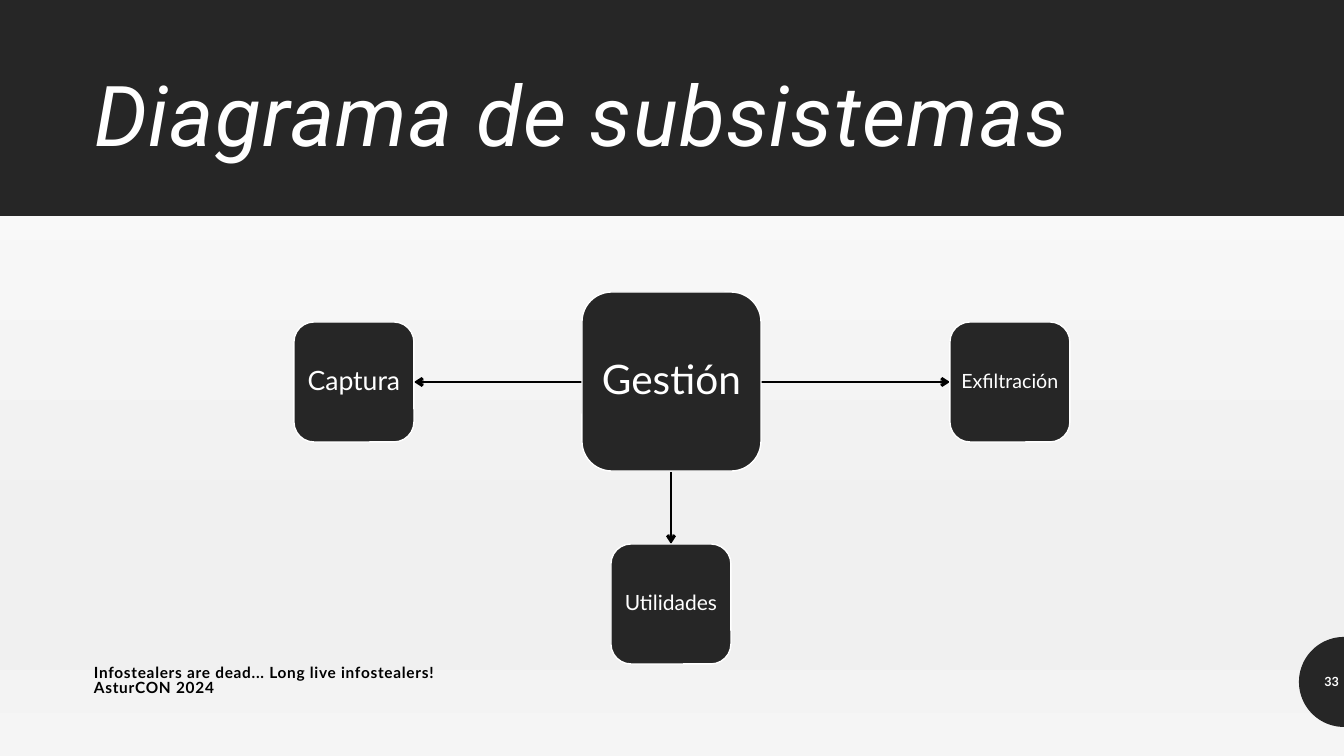
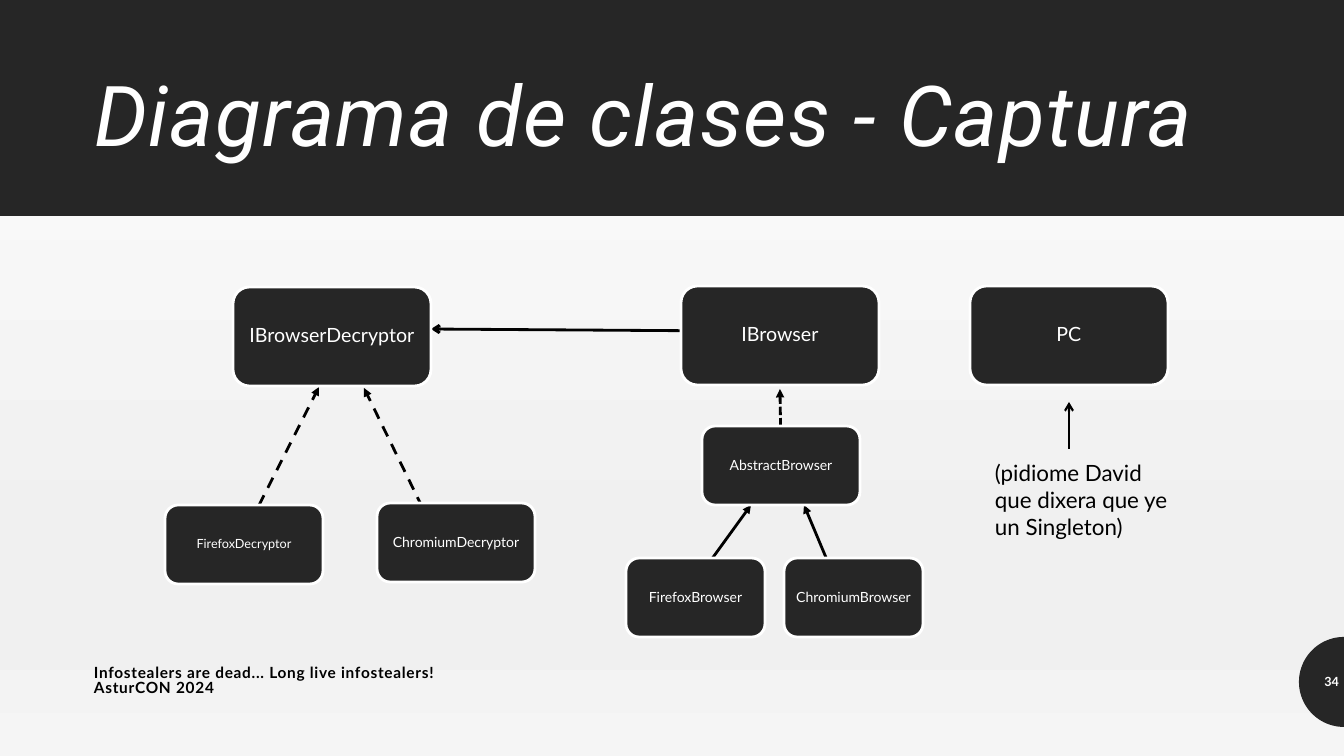
"""Build two slides that show the subsystems and the capture classes of a program."""
from math import cos, pi, sin

from lxml import etree
from pptx import Presentation
from pptx.dml.color import RGBColor
from pptx.enum.dml import MSO_LINE
from pptx.enum.shapes import MSO_CONNECTOR, MSO_SHAPE
from pptx.enum.text import MSO_ANCHOR, MSO_AUTO_SIZE, PP_ALIGN
from pptx.oxml.ns import qn
from pptx.util import Emu, Pt

STRAIGHT = MSO_CONNECTOR.STRAIGHT
RECTANGLE, ROUNDED = MSO_SHAPE.RECTANGLE, MSO_SHAPE.ROUNDED_RECTANGLE
LEFT, CENTER, RIGHT = PP_ALIGN.LEFT, PP_ALIGN.CENTER, PP_ALIGN.RIGHT
TOP, MIDDLE = MSO_ANCHOR.TOP, MSO_ANCHOR.MIDDLE
SOLID, DASH, SHORT_DASH = None, MSO_LINE.DASH, MSO_LINE.SQUARE_DOT
OPEN, FILLED = "arrow", "triangle"

SLIDE_W, SLIDE_H = 1344, 756
EMU_PER_PX = 12192000 / SLIDE_W
DARK, WHITE, BLACK = "262626", "FFFFFF", "000000"
BACKGROUND = [(0, "FDFDFD"), (74, "F0F0F0"), (83, "F0F0F0"), (100, "F5F5F5")]
BODY_FONT, TITLE_FONT = "Lato", "Roboto"

BAND_H = 216
TITLE_BOX = (84, 46, 1176, 146)
FOOTER_BOX = (84, 662, 422, 40)
NUMBER_BOX = (1299, 662, 45, 40)
DISC_X, DISC_Y, DISC_R = SLIDE_W, 682, 45
FOOTER = ["Infostealers are dead... Long live infostealers!", "AsturCON 2024"]
FIRST_NUMBER = 33

CORE, SATELLITE = (179, 179), (120, 120)
INTERFACE, CLASS, SUBCLASS = (198, 99), (158, 79), (139, 79)

SLIDES = [
    {
        "title": "Diagrama de subsistemas",
        "border": 1,
        "nodes": [
            ("Gestión", 582, 292, CORE, 29),
            ("Utilidades", 611, 544, SATELLITE, 15),
            ("Exfiltración", 950, 322, SATELLITE, 14),
            ("Captura", 294, 322, SATELLITE, 19),
        ],
        "links": [
            ((671, 472), (671, 544), OPEN, SOLID, 2),
            ((761, 382), (950, 382), OPEN, SOLID, 2),
            ((582, 382), (414, 382), OPEN, SOLID, 2),
        ],
        "remarks": [],
    },
    {
        "title": "Diagrama de clases - Captura",
        "border": 2,
        "nodes": [
            ("IBrowserDecryptor", 233, 287, INTERFACE, 14),
            ("IBrowser", 681, 286, INTERFACE, 14),
            ("PC", 970, 286, INTERFACE, 14),
            ("FirefoxDecryptor", 165, 505, CLASS, 9),
            ("ChromiumDecryptor", 377, 503, CLASS, 10),
            ("AbstractBrowser", 702, 426, CLASS, 10),
            ("FirefoxBrowser", 626, 558, SUBCLASS, 10),
            ("ChromiumBrowser", 784, 558, SUBCLASS, 10),
        ],
        "links": [
            ((725, 331), (431, 329), OPEN, SOLID, 2),
            ((250, 523), (319, 387), FILLED, DASH, 2),
            ((431, 525), (364, 388), FILLED, DASH, 2),
            ((781, 449), (780, 389), FILLED, SHORT_DASH, 2),
            ((706, 567), (751, 505), FILLED, SOLID, 2),
            ((830, 567), (804, 505), FILLED, SOLID, 2),
            ((1069, 449), (1069, 402), OPEN, SOLID, 1.5),
        ],
        "remarks": [
            ("(pidiome David que dixera que ye un Singleton)", (985, 454, 193, 91)),
        ],
    },
]


def px(length):
    return Emu(round(length * EMU_PER_PX))


def rgb(color):
    return RGBColor.from_string(color)


def write(frame, lines, size, color, align=LEFT, anchor=MIDDLE, font=BODY_FONT,
          bold=False, italic=False, spacing=1.0, tracking=0, margins=None):
    frame.word_wrap = True
    frame.auto_size = MSO_AUTO_SIZE.NONE
    frame.vertical_anchor = anchor
    if margins is not None:
        frame.margin_left = frame.margin_right = px(margins)
        frame.margin_top = frame.margin_bottom = px(margins)
    paragraph = frame.paragraphs[0]
    paragraph.alignment = align
    paragraph.line_spacing = spacing
    for index, line in enumerate(lines):
        if index:
            paragraph.add_line_break()
        run = paragraph.add_run()
        run.text = line
        run.font.name, run.font.size = font, Pt(size)
        run.font.bold, run.font.italic = bold, italic
        run.font.color.rgb = rgb(color)
        if tracking:
            run.font._element.set("spc", str(int(tracking * 100)))


def add_text(slide, box, lines, size, color, **style):
    textbox = slide.shapes.add_textbox(*map(px, box))
    write(textbox.text_frame, lines, size, color, **style)


def paint(shape, border=None):
    shape.shadow.inherit = False
    shape.fill.solid()
    shape.fill.fore_color.rgb = rgb(DARK)
    if border:
        shape.line.color.rgb = rgb(WHITE)
        shape.line.width = Pt(border)
    else:
        shape.line.fill.background()


def set_background(master):
    fill = master.background.fill
    fill.gradient()
    fill.gradient_angle = 270
    stops = master.element.find(".//" + qn("a:gsLst"))
    for stop in list(stops):
        stops.remove(stop)
    for percent, color in BACKGROUND:
        stop = etree.SubElement(stops, qn("a:gs"), pos=str(percent * 1000))
        etree.SubElement(stop, qn("a:srgbClr"), val=color)


def add_frame(slide, title, number):
    band = slide.shapes.add_shape(RECTANGLE, 0, 0, px(SLIDE_W), px(BAND_H))
    paint(band)
    heading = slide.shapes.title
    band._element.getparent().insert(2, band._element)
    heading.left, heading.top, heading.width, heading.height = map(px, TITLE_BOX)
    write(heading.text_frame, [title], 60, WHITE, font=TITLE_FONT, italic=True,
          spacing=0.9, tracking=1)

    angles = [pi / 2 + pi * step / 48 for step in range(49)]
    arc = [(px(DISC_X + DISC_R * cos(a)), px(DISC_Y - DISC_R * sin(a))) for a in angles]
    outline = slide.shapes.build_freeform(*arc[0])
    outline.add_line_segments(arc[1:], close=True)
    paint(outline.convert_to_shape())
    add_text(slide, NUMBER_BOX, [str(number)], 9, WHITE, align=RIGHT, bold=True, margins=5)
    add_text(slide, FOOTER_BOX, FOOTER, 11, BLACK, bold=True, spacing=0.8, tracking=0.5)


def add_link(slide, start, end, head, dash, width):
    link = slide.shapes.add_connector(STRAIGHT, *map(px, start + end))
    link.line.color.rgb = rgb(BLACK)
    link.line.width = Pt(width)
    if dash is not None:
        link.line.dash_style = dash
    etree.SubElement(link.line._get_or_add_ln(), qn("a:tailEnd"), type=head)
    etree.SubElement(link._element.spPr, qn("a:effectLst"))


def add_node(slide, label, left, top, extent, size, border):
    node = slide.shapes.add_shape(ROUNDED, *map(px, (left, top) + extent))
    paint(node, border)
    write(node.text_frame, [label], size, WHITE, align=CENTER, spacing=0.9, margins=0)


def main():
    prs = Presentation()
    prs.slide_width, prs.slide_height = px(SLIDE_W), px(SLIDE_H)
    set_background(prs.slide_master)
    for number, content in enumerate(SLIDES, FIRST_NUMBER):
        slide = prs.slides.add_slide(prs.slide_layouts[5])
        add_frame(slide, content["title"], number)
        for link in content["links"]:
            add_link(slide, *link)
        for node in content["nodes"]:
            add_node(slide, *node, content["border"])
        for remark, box in content["remarks"]:
            add_text(slide, box, [remark], 16, BLACK, anchor=TOP)
    prs.save("out.pptx")


if __name__ == "__main__":
    main()
